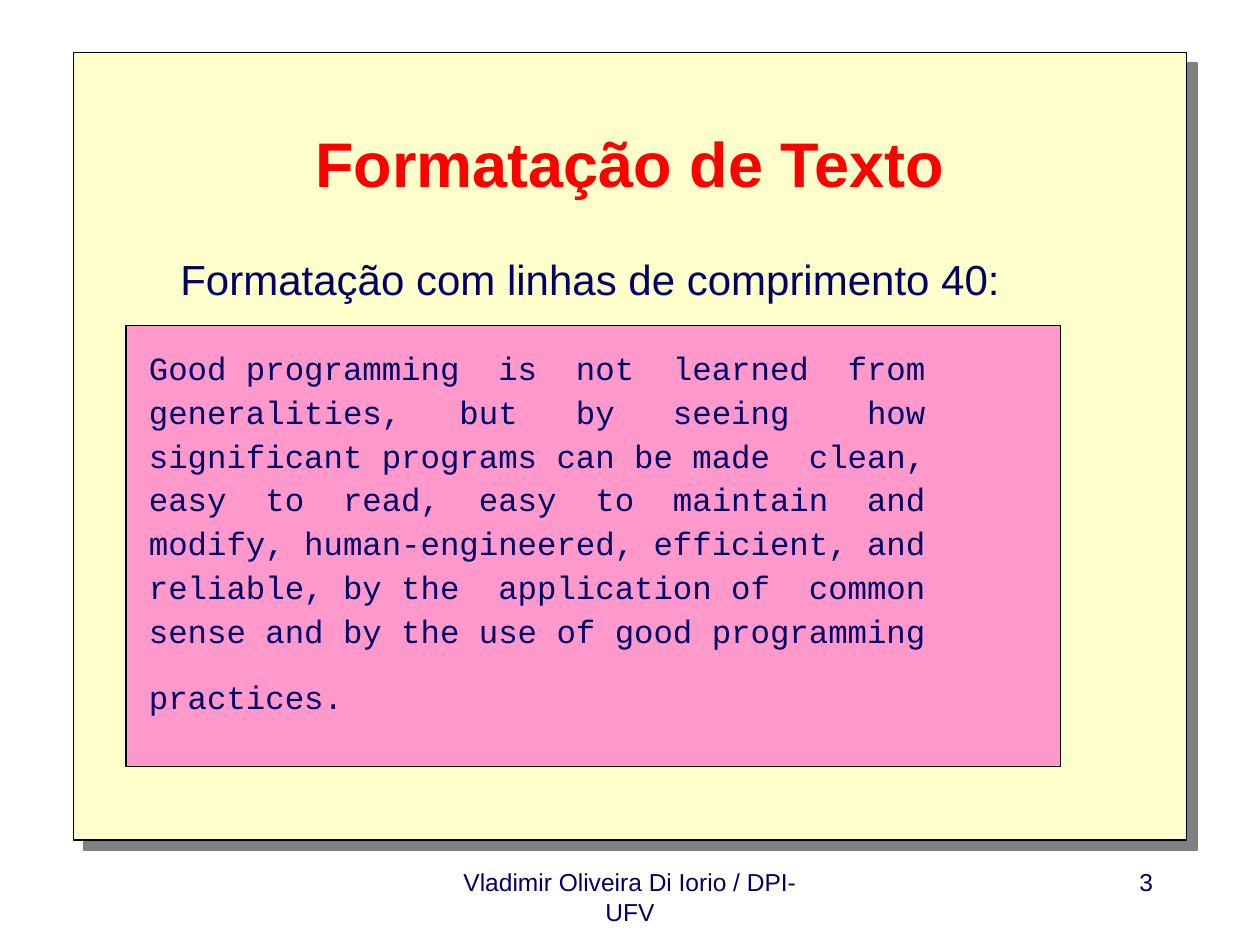
from dataclasses import dataclass

from lxml import etree
from pptx import Presentation
from pptx.dml.color import RGBColor
from pptx.enum import shapes, text
from pptx.oxml import ns
from pptx.util import Emu, Pt


@dataclass(frozen=True)
class Theme:
    paper: str = "FFFFCC"
    pink: str = "FF99CC"
    edge: str = "000000"
    shade: str = "808080"
    red: str = "FF0000"
    navy: str = "000066"
    sans: str = "Arial"
    mono: str = "Courier New"
    title: float = 36
    lead: float = 24
    code: float = 18.5
    foot: float = 14


THEME = Theme()
SCALE = 7620  # EMU in one px, 120 px to the inch
LINES = [
    "Good programming  is  not  learned  from",
    "generalities,   but   by   seeing    how",
    "significant programs can be made  clean,",
    "easy  to  read,  easy  to  maintain  and",
    "modify, human-engineered, efficient, and",
    "reliable, by the  application of  common",
    "sense and by the use of good programming",
    "practices.",
]


def px(n):
    return Emu(n * SCALE)


def panel(slide, box, fill):
    rect = slide.shapes.add_shape(shapes.MSO_SHAPE.RECTANGLE, *map(px, box))
    rect.shadow.inherit = False
    rect.fill.solid()
    rect.fill.fore_color.rgb = RGBColor.from_string(fill)
    rect.line.color.rgb = RGBColor.from_string(THEME.edge)
    rect.line.width = Pt(0.75)
    return rect


def shade(rect):
    """Give a rectangle a hard shadow to the lower right."""
    effects = rect._element.spPr.find(ns.qn("a:effectLst"))
    drop = etree.SubElement(effects, ns.qn("a:outerShdw"), blurRad="0",
                            dist=str(Pt(8.5)), dir="2700000",
                            algn="ctr", rotWithShape="0")
    etree.SubElement(drop, ns.qn("a:srgbClr"), val=THEME.shade)


def frame(slide, box, anchor=text.MSO_ANCHOR.TOP):
    body = slide.shapes.add_textbox(*map(px, box)).text_frame
    body.word_wrap = True
    body.vertical_anchor = anchor
    return body


def write(para, words, size, color=THEME.navy, face=THEME.sans,
          bold=False, align=text.PP_ALIGN.LEFT):
    para.alignment = align
    run = para.add_run()
    run.text = words
    run.font.size = Pt(size)
    run.font.name = face
    run.font.bold = bold
    run.font.color.rgb = RGBColor.from_string(color)


def header(slide, box):
    x, y, w, h = box
    # Title
    body = frame(slide, (x, y, w, 150), text.MSO_ANCHOR.MIDDLE)
    write(body.paragraphs[0], "Formatação de Texto", THEME.title, THEME.red,
          bold=True, align=text.PP_ALIGN.CENTER)
    # Lead line
    body = frame(slide, (x + 70, y + h - 60, w - 110, 60),
                 text.MSO_ANCHOR.MIDDLE)
    write(body.paragraphs[0], "Formatação com linhas de comprimento 40:",
          THEME.lead)


def sample(slide, box):
    x, y, w, h = box
    panel(slide, box, THEME.pink)
    # Fixed-width lines, the last one set further apart
    body = frame(slide, (x + 10, y + 20, w - 20, h - 40))
    for i, line in enumerate(LINES):
        para = body.paragraphs[0] if i == 0 else body.add_paragraph()
        para.line_spacing = 0.9
        para.space_before = Pt(18 if line == LINES[-1] else 5)
        write(para, line, THEME.code, face=THEME.mono)


def footer(slide, box):
    x, y, w, h = box
    # Author
    body = frame(slide, (x, y, 380, h))
    write(body.paragraphs[0], "Vladimir Oliveira Di Iorio / DPI-UFV",
          THEME.foot, align=text.PP_ALIGN.CENTER)
    # Page number
    body = frame(slide, (x + w - 250, y, 250, h))
    write(body.paragraphs[0], "3", THEME.foot, align=text.PP_ALIGN.RIGHT)


def main():
    deck = Presentation()
    deck.slide_width, deck.slide_height = px(1200), px(900)
    slide = deck.slides.add_slide(deck.slide_layouts[6])
    shade(panel(slide, (70, 50, 1060, 750), THEME.paper))
    header(slide, (90, 80, 1020, 215))
    sample(slide, (120, 310, 890, 420))
    footer(slide, (410, 820, 700, 60))
    deck.save("out.pptx")


if __name__ == "__main__":
    main()
